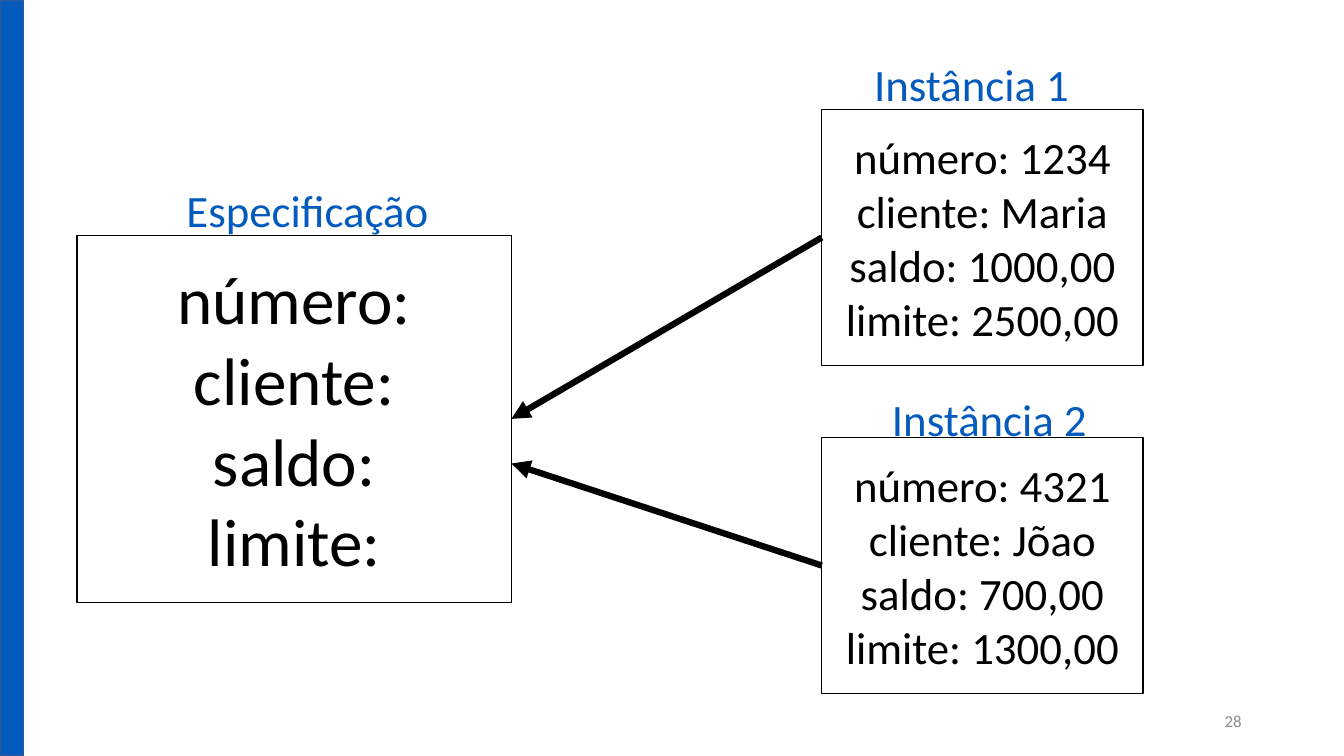
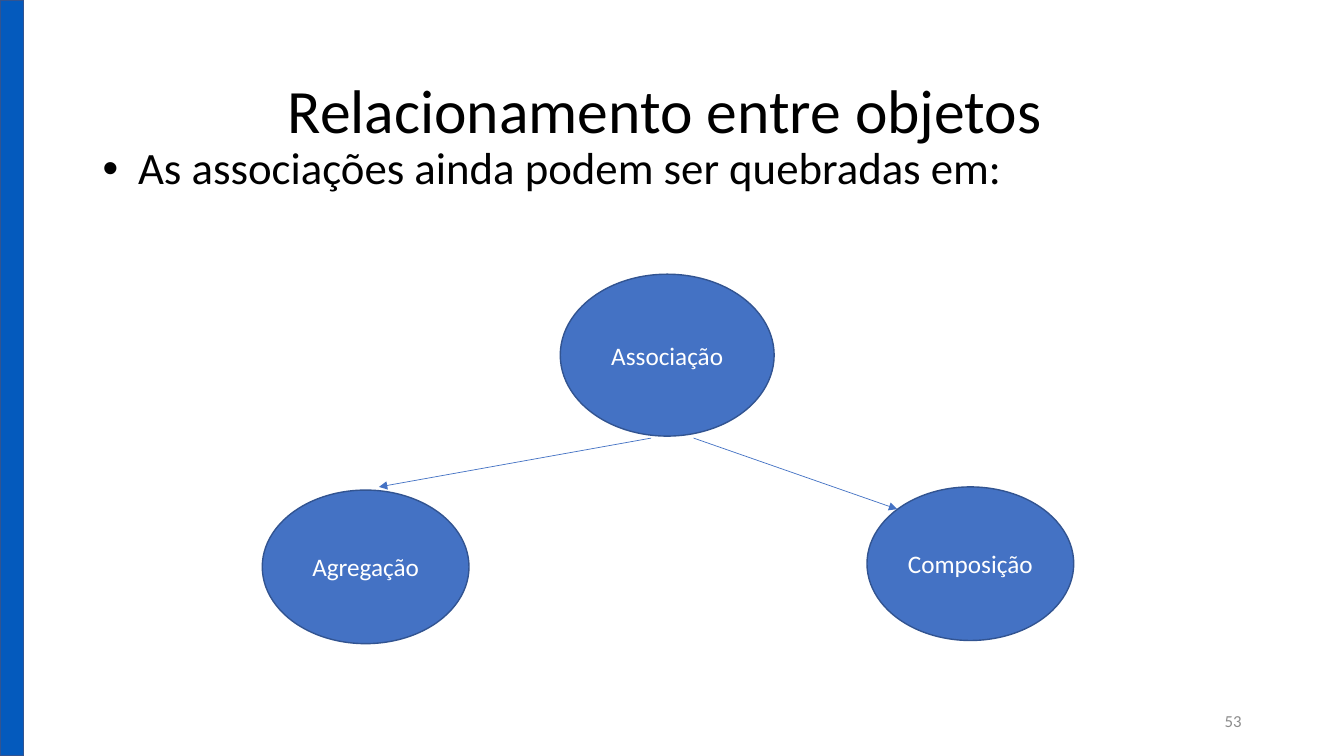
import pptx
import pptx.dml.color
import pptx.enum.shapes
import pptx.enum.text
import pptx.oxml
import pptx.oxml.ns
import pptx.util

Cm = pptx.util.Cm
Pt = pptx.util.Pt
Align = pptx.enum.text.PP_ALIGN
Anchor = pptx.enum.text.MSO_ANCHOR
Shape = pptx.enum.shapes.MSO_SHAPE


class Theme:
    font = "Calibri"
    brand = "045ABD"
    node = "4472C4"
    outline = "325491"
    ink = "000000"
    paper = "FFFFFF"
    muted = "8C8C8C"
    title_size = 44
    class_size = 48
    text_size = 32
    node_size = 18
    number_size = 12
    thin = 1
    thick = 4.5
    hairline = 0.5


SLIDE_WIDTH, SLIDE_HEIGHT = 33.87, 19.05
LEFT_SIDE, RIGHT_SIDE = 1, 3

SPECIFICATION = {
    "label": "Especificação",
    "label_at": (4.45, 4.47, 6.68, 1.63),
    "lines": ["número:", "cliente:", "saldo:", "limite:"],
    "at": (1.94, 5.93, 10.95, 9.25),
}
INSTANCES = [
    {
        "label": "Instância 1",
        "label_at": (21.78, 1.31, 5.49, 1.63),
        "lines": ["número: 1234", "cliente: Maria", "saldo: 1000,00", "limite: 2500,00"],
        "at": (20.71, 2.76, 8.1, 6.45),
    },
    {
        "label": "Instância 2",
        "label_at": (22.23, 9.74, 5.49, 1.63),
        "lines": ["número: 4321", "cliente: Jõao", "saldo: 700,00", "limite: 1300,00"],
        "at": (20.71, 11.02, 8.1, 6.46),
    },
]
SECOND_ARROW_END = (12.89, 11.68)

TITLE = "Relacionamento entre objetos"
BULLET = "As associações ainda podem ser quebradas em:"
NODES = [
    ("Associação", (14.12, 6.91, 5.39, 4.08)),
    ("Agregação", (6.61, 12.35, 5.21, 3.87)),
    ("Composição", (21.85, 12.27, 5.21, 3.87)),
]
BRANCHES = [
    ((16.41, 11.04), (9.55, 12.27)),
    ((17.48, 11.04), (22.61, 12.83)),
]


def rgb(color):
    return pptx.dml.color.RGBColor.from_string(color)


def lengths(values):
    return [Cm(value) for value in values]


def add_bullet(para, indent):
    properties = para._p.get_or_add_pPr()
    properties.set("marL", str(Cm(indent)))
    properties.set("indent", str(-Cm(indent)))
    for tag in ('buFont {} typeface="Arial"', 'buChar {} char="•"'):
        properties.append(pptx.oxml.parse_xml(
            "<a:" + tag.format(pptx.oxml.ns.nsdecls("a")) + "/>"))


def write(box, lines, size, color, align=Align.LEFT, anchor=Anchor.TOP, wrap=True,
          spacing=None, bullet_indent=None):
    frame = box.text_frame
    frame.word_wrap = wrap
    frame.vertical_anchor = anchor
    frame.text = "\n".join(lines)
    for para in frame.paragraphs:
        if bullet_indent:
            add_bullet(para, bullet_indent)
        para.alignment = align
        if spacing:
            para.line_spacing = spacing
        para.font.name = Theme.font
        para.font.size = Pt(size)
        para.font.color.rgb = rgb(color)


def add_text(page, at, lines, size, color, **layout):
    box = page.shapes.add_textbox(*lengths(at))
    write(box, lines, size, color, **layout)


def add_box(page, kind, at, fill, line):
    box = page.shapes.add_shape(kind, *lengths(at))
    box.shadow.inherit = False
    box.fill.solid()
    box.fill.fore_color.rgb = rgb(fill)
    box.line.color.rgb = rgb(line)
    box.line.width = Pt(Theme.thin)
    return box


def add_arrow(page, start, end, color, width):
    arrow = page.shapes.add_connector(
        pptx.enum.shapes.MSO_CONNECTOR.STRAIGHT, *lengths(start + end))
    arrow.line.color.rgb = rgb(color)
    arrow.line.width = Pt(width)
    properties = arrow.element.spPr
    head = pptx.oxml.parse_xml(
        f'<a:tailEnd {pptx.oxml.ns.nsdecls("a")} type="triangle"/>')
    properties.find(pptx.oxml.ns.qn("a:ln")).append(head)
    properties.append(pptx.oxml.parse_xml(f'<a:effectLst {pptx.oxml.ns.nsdecls("a")}/>'))
    return arrow


def add_page(deck, number):
    page = deck.slides.add_slide(deck.slide_layouts[6])
    add_box(page, Shape.RECTANGLE, (0, 0, 0.6, SLIDE_HEIGHT), Theme.brand, Theme.outline)
    add_text(page, (23.92, 17.65, 7.62, 1.02), [number], Theme.number_size, Theme.muted,
             align=Align.RIGHT, anchor=Anchor.MIDDLE)
    return page


def add_record(page, record, size):
    box = add_box(page, Shape.RECTANGLE, record["at"], Theme.paper, Theme.ink)
    write(box, record["lines"], size, Theme.ink, align=Align.CENTER, anchor=Anchor.MIDDLE)
    add_text(page, record["label_at"], [record["label"]], Theme.text_size, Theme.brand, wrap=False)
    return box


def build_instances(deck):
    page = add_page(deck, "28")
    specification = add_record(page, SPECIFICATION, Theme.class_size)
    for index, record in enumerate(INSTANCES):
        instance = add_record(page, record, Theme.text_size)
        arrow = add_arrow(page, record["at"][:2], SECOND_ARROW_END, Theme.ink, Theme.thick)
        arrow.begin_connect(instance, LEFT_SIDE)
        if index == 0:
            arrow.end_connect(specification, RIGHT_SIDE)


def build_relationships(deck):
    page = add_page(deck, "53")
    add_text(page, (2.16, 1.02, 29.21, 3.68), [TITLE], Theme.title_size, Theme.ink,
             align=Align.CENTER, anchor=Anchor.MIDDLE, spacing=0.9)
    add_text(page, (2.34, 3.56, 29.21, 12.57), [BULLET], Theme.text_size, Theme.ink,
             spacing=0.9, bullet_indent=0.89)
    for name, at in NODES:
        node = add_box(page, Shape.OVAL, at, Theme.node, Theme.outline)
        write(node, [name], Theme.node_size, Theme.paper,
              align=Align.CENTER, anchor=Anchor.MIDDLE)
    for start, end in BRANCHES:
        add_arrow(page, start, end, Theme.node, Theme.hairline)


def main():
    deck = pptx.Presentation()
    deck.slide_width, deck.slide_height = lengths((SLIDE_WIDTH, SLIDE_HEIGHT))
    build_instances(deck)
    build_relationships(deck)
    deck.save("out.pptx")


if __name__ == "__main__":
    main()
